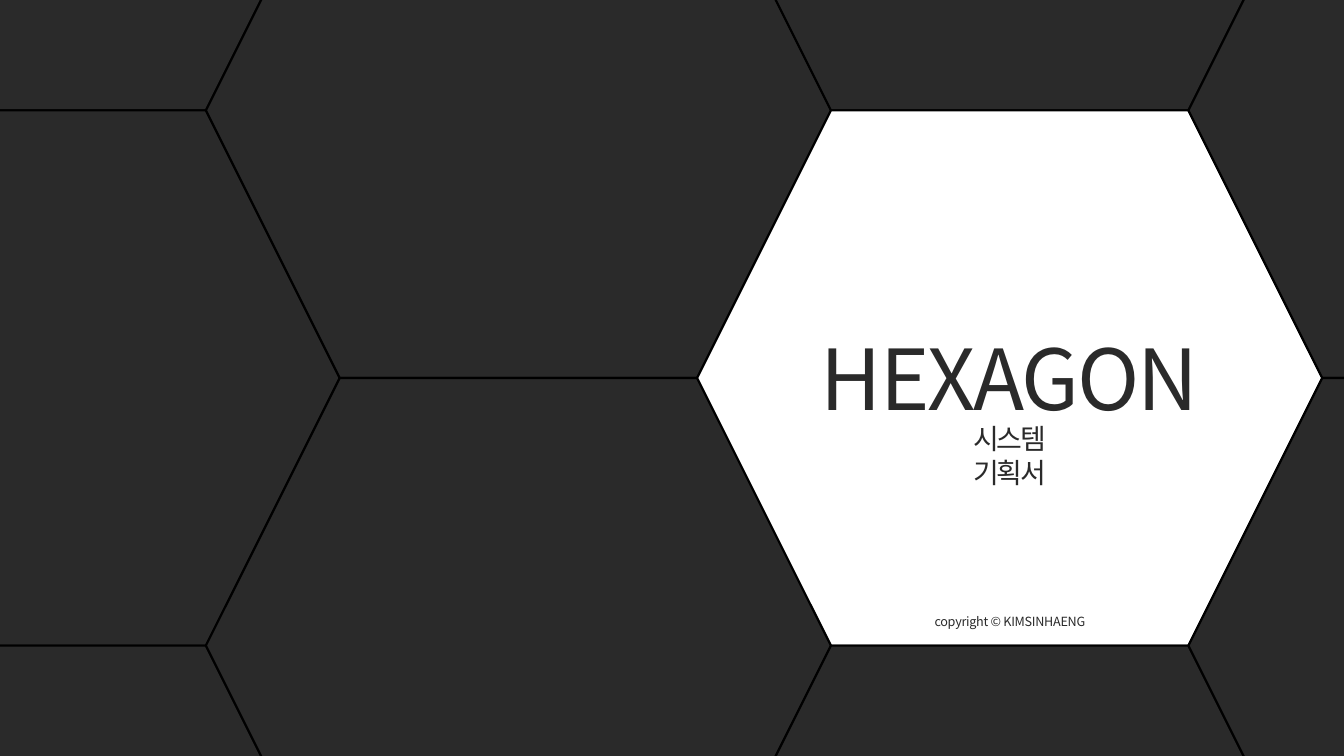
"""Builds the HEXAGON cover slide: a honeycomb with one white cell for the title."""
from pptx import Presentation, util as u
from pptx.dml.color import RGBColor
from pptx.enum import shapes, text

HUE = {"back": "F2F2F2", "dark": "2A2A2A", "white": "FFFFFF", "line": "000000"}
FONT = "Noto Sans CJK KR"
WIDE, HIGH = 13.33, 7.5
CELL_W, CELL_H = 6.2, 5.31
STEP = CELL_W - CELL_H / 4
LEFT = -2.83
MID = (HIGH - CELL_H) / 2

deck = Presentation()
deck.slide_width, deck.slide_height = u.Inches(WIDE), u.Inches(HIGH)
slide = deck.slides.add_slide(deck.slide_layouts[0])
back = slide.background.fill
back.solid()
back.fore_color.rgb = RGBColor.from_string(HUE["back"])

for col in range(4):
    rows = (-0.5, 0.5) if col % 2 else (-1, 0, 1)
    for row in rows:
        cell = slide.shapes.add_shape(
            shapes.MSO_SHAPE.HEXAGON, u.Inches(LEFT + col * STEP),
            u.Inches(MID + row * CELL_H), u.Inches(CELL_W), u.Inches(CELL_H))
        cell.shadow.inherit = False
        hue = "white" if (col, row) == (2, 0) else "dark"
        cell.fill.solid()
        cell.fill.fore_color.rgb = RGBColor.from_string(HUE[hue])
        cell.line.color.rgb = RGBColor.from_string(HUE["line"])
        cell.line.width = u.Pt(1.5)

title, sub = slide.placeholders
note = slide.shapes.add_textbox(0, 0, 0, 0)
tree = slide.shapes._spTree
for box in (title, sub):
    tree.append(box._element)

center = LEFT + 2 * STEP + CELL_W / 2
labels = (
    (title, "HEXAGON", 3.22, 4.18, 1.05, 60, -150),
    (sub, "시스템\n기획서", 4.16, 1.58, 0.72, 20, -150),
    (note, "copyright © KIMSINHAENG", 6.09, 1.51, 0.15, 9, -20),
)
for box, words, top, wide, high, size, gap in labels:
    box.left, box.top = u.Inches(center - wide / 2), u.Inches(top)
    box.width, box.height = u.Inches(wide), u.Inches(high)
    frame = box.text_frame
    frame.text = words
    frame.word_wrap = False
    frame.auto_size = text.MSO_AUTO_SIZE.NONE
    frame.vertical_anchor = text.MSO_ANCHOR.MIDDLE
    frame.margin_left = frame.margin_right = 0
    frame.margin_top = frame.margin_bottom = 0
    for para in frame.paragraphs:
        para.alignment = text.PP_ALIGN.CENTER
        para.space_before = u.Pt(0)
        para.line_spacing = u.Pt(size * 1.18)
        for run in para.runs:
            run.font.name, run.font.size = FONT, u.Pt(size)
            run.font.color.rgb = RGBColor.from_string(HUE["dark"])
            props = run.font._element
            props.set("spc", str(gap))
            face = props.makeelement(props.tag.replace("rPr", "ea"), {"typeface": FONT})
            props.find(props.tag.replace("rPr", "latin")).addnext(face)

deck.save("out.pptx")
